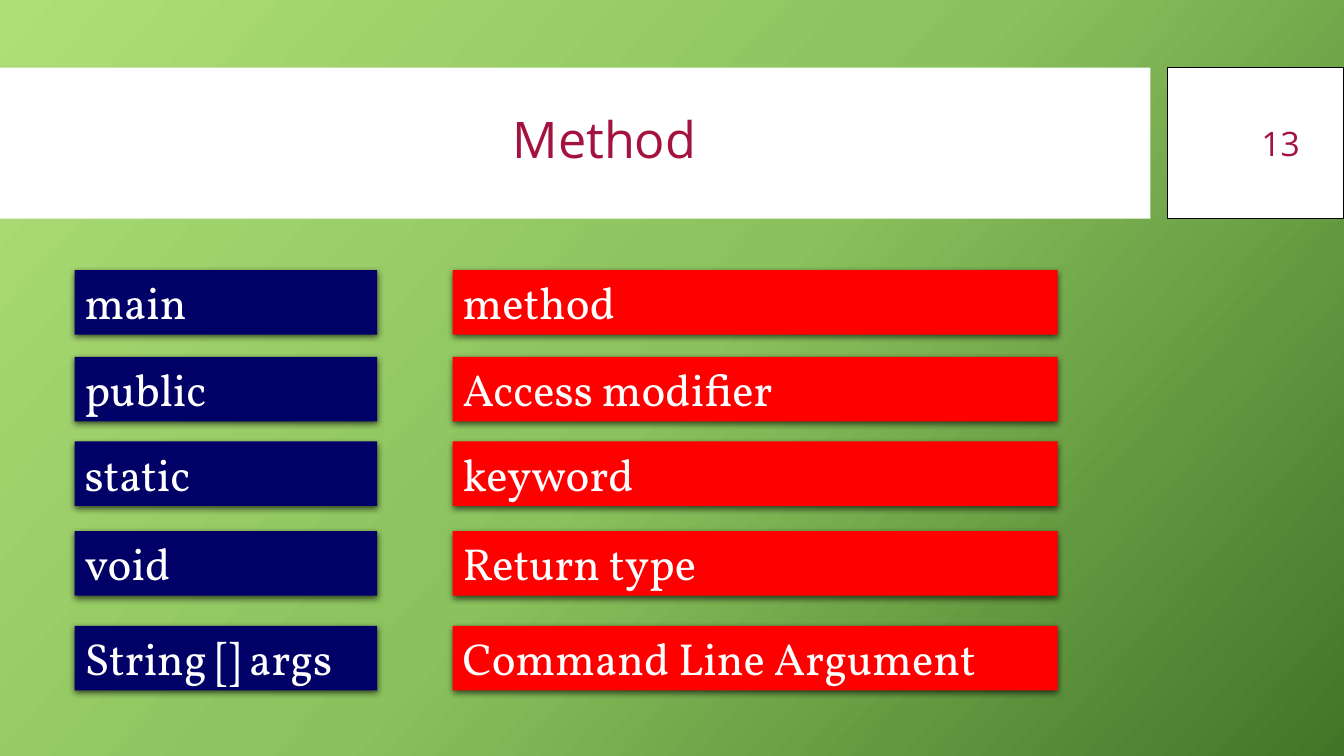
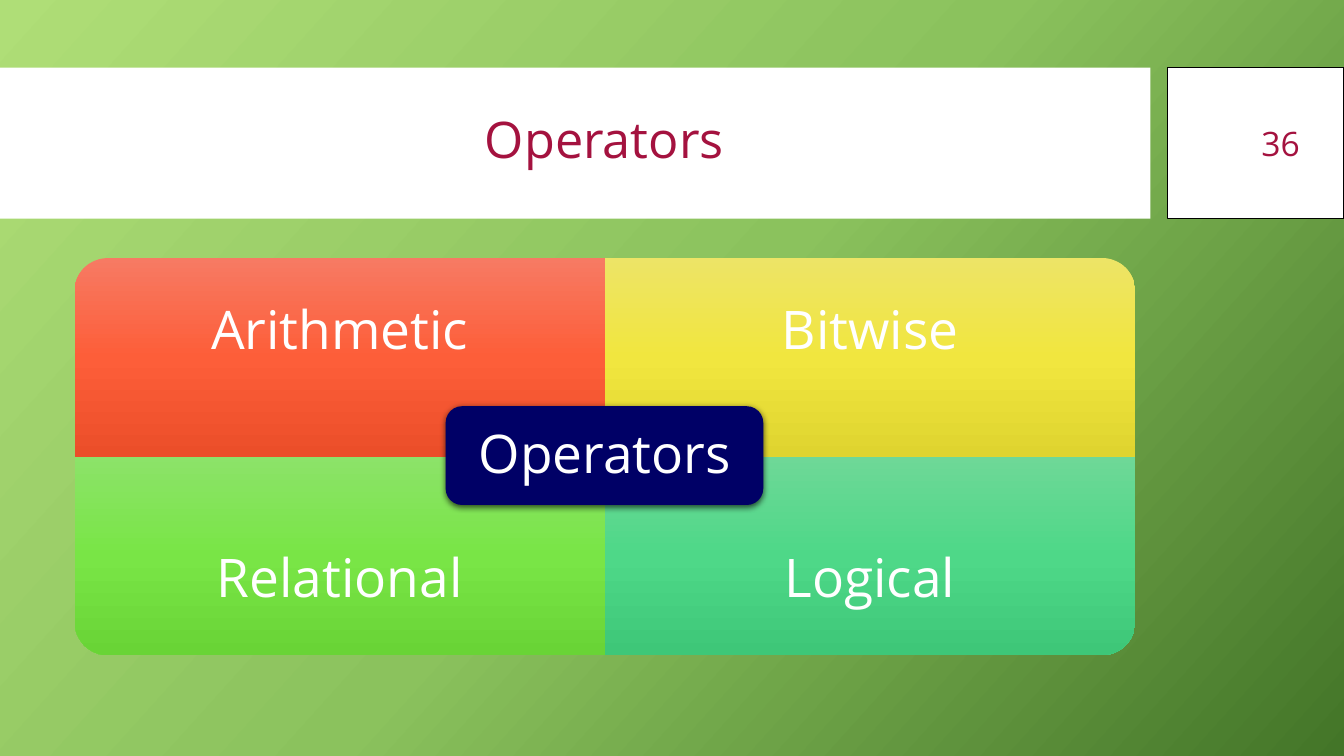
from pptx import Presentation
from pptx.dml.color import RGBColor
from pptx.enum.shapes import MSO_SHAPE
from pptx.enum.text import MSO_ANCHOR, MSO_AUTO_SIZE, PP_ALIGN
from pptx.oxml import parse_xml
from pptx.oxml.ns import nsdecls, qn
from pptx.util import Inches, Pt

COLORS = {
    "white": "FFFFFF",
    "black": "000000",
    "crimson": "A4123F",
    "navy": "000066",
    "red": "FF0000",
}
GRADIENTS = {
    "background": ("AFDE77", "8BC25D", "437528"),
    "orange": ("F77A63", "FD5E39", "EB4E29"),
    "yellow": ("EDE466", "F1E63F", "DFD42F"),
    "lime": ("8CE369", "79E546", "69D436"),
    "mint": ("6ED897", "4ED888", "3EC778"),
}
SANS = "Open Sans"
SERIF = "Vollkorn"


def color(name):
    return RGBColor.from_string(COLORS[name])


def write_text(box, text, font=SANS, size=38, ink="white", align=PP_ALIGN.CENTER,
               anchor=MSO_ANCHOR.MIDDLE, spacing=None, inset=None, grow=False):
    frame = box.text_frame
    frame.word_wrap = True
    frame.auto_size = MSO_AUTO_SIZE.SHAPE_TO_FIT_TEXT if grow else MSO_AUTO_SIZE.NONE
    frame.vertical_anchor = anchor
    if inset is not None:
        frame.margin_left = frame.margin_right = Inches(inset)
        frame.margin_top = frame.margin_bottom = Inches(inset)
    para = frame.paragraphs[0]
    para.alignment = align
    para.line_spacing = spacing
    span = para.add_run()
    span.text = text
    span.font.name = font
    span.font.size = Pt(size)
    span.font.color.rgb = color(ink)


def set_gradient(fill, element, name, angle):
    fill.gradient()
    gradient = element.find(".//" + qn("a:gradFill"))
    stops = "".join(
        f'<a:gs pos="{index * 50000}"><a:srgbClr val="{value}"/></a:gs>'
        for index, value in enumerate(GRADIENTS[name])
    )
    replacement = parse_xml(
        f'<a:gradFill {nsdecls("a")} rotWithShape="0"><a:gsLst>{stops}</a:gsLst>'
        f'<a:lin ang="{angle * 60000}" scaled="0"/></a:gradFill>'
    )
    gradient.getparent().replace(gradient, replacement)


def add_shadow(shape):
    effects = shape._element.spPr.find(qn("a:effectLst"))
    effects.append(parse_xml(
        f'<a:outerShdw {nsdecls("a")} blurRad="{Pt(4.5)}" dist="{Pt(1.5)}" '
        f'dir="5400000" algn="ctr" rotWithShape="0">'
        f'<a:srgbClr val="{COLORS["black"]}"><a:alpha val="63000"/></a:srgbClr>'
        f'</a:outerShdw>'
    ))


class Slides:
    def __init__(self):
        self.deck = Presentation()
        self.deck.slide_width = Inches(13.33)
        self.deck.slide_height = Inches(7.5)
        self.page = None

    def start_page(self, title, number):
        self.page = self.deck.slides.add_slide(self.deck.slide_layouts[6])
        set_gradient(self.page.background.fill, self.page._element, "background", 42)
        self.shape(0, 0.67, 11.41, 1.5, fill="white")
        self.shape(11.58, 0.67, 1.75, 1.5, fill="white", line="black")
        self.text(0.74, 0.82, 10.51, 1.18, title, size=36, ink="crimson", spacing=0.9)
        self.text(11.73, 0.82, 1.26, 1.19, number, size=24, ink="crimson",
                  align=PP_ALIGN.RIGHT)

    def shape(self, left, top, width, height, kind=MSO_SHAPE.RECTANGLE, fill=None,
              line=None, shadow=False):
        shape = self.page.shapes.add_shape(
            kind, Inches(left), Inches(top), Inches(width), Inches(height))
        shape.shadow.inherit = False
        if fill:
            shape.fill.solid()
            shape.fill.fore_color.rgb = color(fill)
        if line:
            shape.line.color.rgb = color(line)
            shape.line.width = Pt(1)
        else:
            shape.line.fill.background()
        if shadow:
            add_shadow(shape)
        return shape

    def text(self, left, top, width, height, text, **style):
        box = self.page.shapes.add_textbox(
            Inches(left), Inches(top), Inches(width), Inches(height))
        write_text(box, text, **style)

    def bar(self, left, top, width, text, fill):
        bar = self.shape(left, top, width, 0.64, fill=fill, shadow=True)
        write_text(bar, text, font=SERIF, size=32, align=PP_ALIGN.LEFT,
                   anchor=MSO_ANCHOR.TOP, grow=True)

    def quadrant(self, left, top, width, height, gradient, rotation):
        sideways = rotation % 180 != 0
        across, down = (height, width) if sideways else (width, height)
        shape = self.shape(left + (width - across) / 2, top + (height - down) / 2,
                           across, down, kind=MSO_SHAPE.ROUND_1_RECTANGLE)
        set_gradient(shape.fill, shape._element, gradient, 90)
        shape.rotation = rotation


def build_method_page(slides):
    slides.start_page("Method", "13")
    rows = [
        (2.68, "main", "method"),
        (3.54, "public", "Access modifier"),
        (4.38, "static", "keyword"),
        (5.27, "void", "Return type"),
        (6.21, "String [] args", "Command Line Argument"),
    ]
    for top, term, meaning in rows:
        slides.bar(0.74, top, 3, term, "navy")
        slides.bar(4.49, top, 6, meaning, "red")


def build_operators_page(slides):
    slides.start_page("Operators", "36")
    left, top, width, height = 0.74, 2.56, 5.26, 1.97
    label_height = 1.48
    quadrants = [
        ("Arithmetic", "orange", 270),
        ("Bitwise", "yellow", 0),
        ("Relational", "lime", 180),
        ("Logical", "mint", 90),
    ]
    for index, (label, gradient, rotation) in enumerate(quadrants):
        row, column = divmod(index, 2)
        x = left + column * width
        y = top + row * height
        slides.quadrant(x, y, width, height, gradient, rotation)
        slides.text(x, y + row * (height - label_height), width, label_height, label,
                    spacing=0.9, inset=0.3)
    slides.shape(4.42, 4.03, 3.15, 0.98, kind=MSO_SHAPE.ROUNDED_RECTANGLE,
                 fill="navy", shadow=True)
    slides.text(4.47, 4.08, 3.06, 0.89, "Operators", spacing=0.9, inset=0.16)


slides = Slides()
build_method_page(slides)
build_operators_page(slides)
slides.deck.save("out.pptx")
